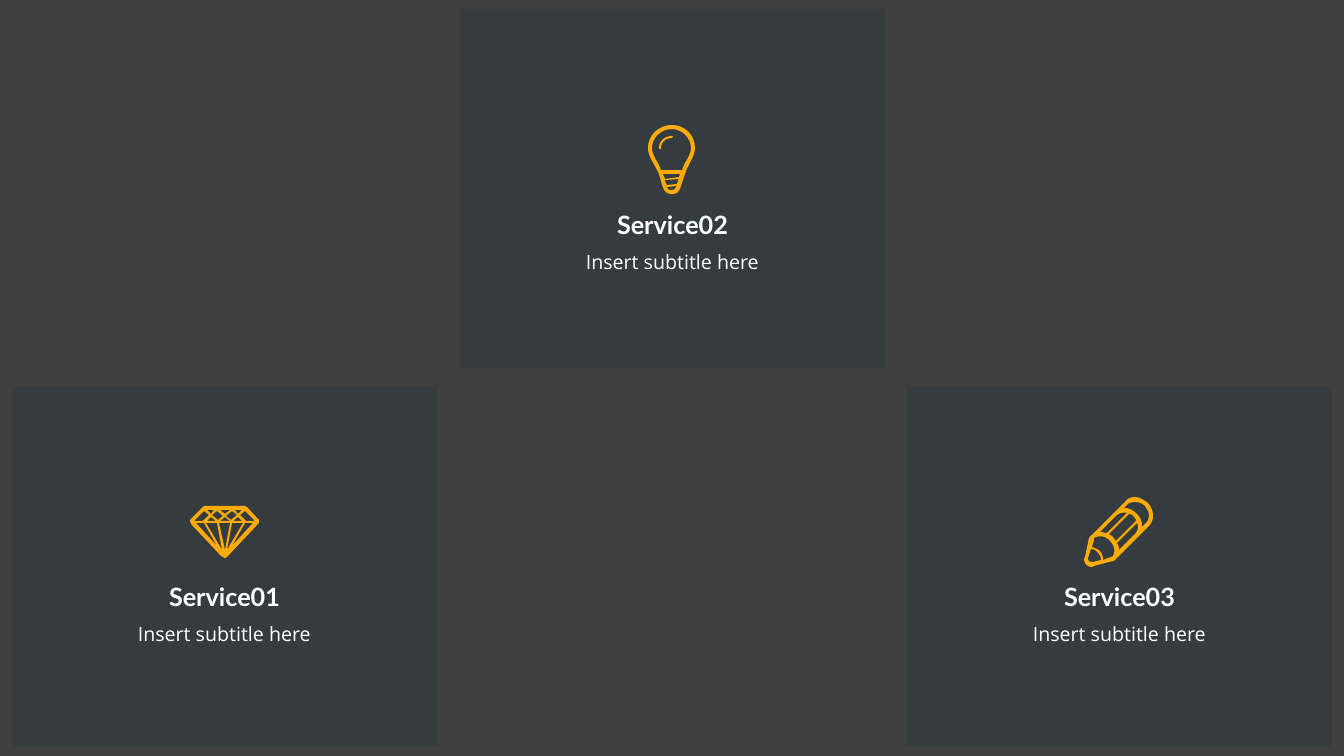
from lxml import etree
from pptx import Presentation
from pptx import util as u
from pptx.dml.color import RGBColor
from pptx.enum import shapes, text
from pptx.oxml.ns import qn

EMU_PER_PX = 914400 / 100.8
COLORS = {"background": "3F3F3F", "panel": "313C41", "icon": "FFAB03", "text": "FFFFFF"}

PANEL_W, PANEL_H = 425, 359
TITLE_W, TITLE_H = 133, 40
SUBTITLE_W, SUBTITLE_H = 275, 42
SUBTITLE_DROP = 29

# Icon contours: a pair is a corner, six numbers are a Bezier curve.
# The first contour is the silhouette, the others are cut out of it.
DIAMOND_W = 69
DIAMOND_RIGHT_FACETS = [
    [(36, 10), (42, 5), (47, 9), (41, 14)],
    [(42, 17), (53, 17), (37, 44)],
    [(43, 15), (48, 11), (52, 15)],
    [(45, 4), (52, 4), (48, 8)],
    [(55, 17), (63, 17), (42, 40)],
    [(56, 15), (50, 9), (55, 5), (65, 15)],
]
DIAMOND = [
    [(68, 13), (57, 1), (56, 1, 55, 0, 54, 0), (15, 0), (14, 0, 13, 1, 13, 1),
     (1, 13), (1, 13, 0, 14, 0, 15), (0, 16, 1, 17, 1, 18), (31, 50),
     (33, 51, 34, 52, 35, 52), (36, 52, 37, 51, 38, 50), (68, 18),
     (69, 17, 69, 16, 69, 15), (69, 14, 69, 13, 68, 13)],
    [(40, 15), (30, 15), (35, 11)],
    [(40, 17), (35, 44), (29, 17)],
    [(35, 8), (30, 4), (40, 4)],
    *DIAMOND_RIGHT_FACETS,
    *[[(DIAMOND_W - x, y) for x, y in facet] for facet in DIAMOND_RIGHT_FACETS],
]
BULB = [
    [(24, 0), (11, 0, 0, 10, 0, 23), (0, 32, 8, 41, 11, 49), (15, 62, 15, 69, 24, 69),
     (33, 69, 32, 62, 37, 49), (39, 41, 47, 32, 47, 23), (47, 10, 37, 0, 24, 0)],
    [(29, 59), (19, 60), (18, 59, 18, 58, 17, 56), (17, 55), (31, 54), (30, 56)],
    [(17, 54), (15, 49), (32, 49), (31, 52)],
    [(24, 65), (22, 65, 20, 65, 19, 62), (29, 61), (27, 64, 26, 65, 24, 65)],
    [(34, 45), (13, 45), (12, 43, 11, 40, 10, 38), (7, 33, 4, 28, 4, 23),
     (4, 13, 13, 4, 24, 4), (34, 4, 43, 13, 43, 23), (43, 28, 40, 33, 37, 38),
     (36, 40, 35, 43, 34, 45)],
]
GLINT = [
    [(13, 0), (6, 0, 0, 5, 0, 12), (0, 13, 0, 13, 1, 13), (1, 13, 2, 13, 2, 12),
     (2, 6, 7, 2, 13, 2), (13, 2, 14, 1, 14, 1), (14, 0, 13, 0, 13, 0)],
]
PENCIL = [
    [(64, 6), (60, 3, 55, 0, 51, 0), (47, 0, 43, 2, 41, 5), (8, 38),
     (6, 39, 6, 40, 5, 41), (1, 60), (0, 62), (0, 66, 3, 70, 8, 70), (10, 69),
     (29, 64), (30, 64, 31, 63, 32, 62), (65, 29), (71, 23, 70, 13, 64, 6)],
    [(35, 52), (35, 50, 34, 48, 33, 46), (53, 26), (55, 30, 54, 34, 51, 37), (35, 53)],
    [(32, 44), (31, 43, 30, 41, 29, 40), (28, 39, 26, 38, 25, 37), (45, 17),
     (47, 17, 49, 18, 50, 20), (51, 21, 52, 22, 52, 24)],
    [(23, 36), (21, 36, 18, 35, 16, 35), (33, 18), (36, 16, 39, 15, 43, 16)],
    [(9, 65), (6, 65, 4, 64, 4, 62), (4, 61), (7, 52), (9, 52, 12, 53, 14, 56),
     (16, 58, 17, 60, 17, 63)],
    [(19, 63), (19, 59, 18, 57, 16, 54), (14, 52, 10, 51, 8, 50), (10, 43), (10, 41),
     (15, 38, 22, 39, 26, 44), (31, 49, 32, 56, 28, 60), (27, 60)],
    [(62, 26), (58, 30), (58, 29, 58, 29, 58, 28), (58, 24, 56, 20, 53, 17),
     (49, 13, 45, 11, 40, 11), (44, 7), (45, 6, 48, 5, 51, 5), (54, 5, 58, 6, 61, 9),
     (63, 12, 65, 15, 65, 18), (65, 21, 64, 24, 62, 26)],
]

# Panel left and top, title top, name, icon parts with their left and top
SERVICES = [
    (12, 387, 576, "Service01", [(DIAMOND, 190, 506)]),
    (460, 9, 204, "Service02", [(BULB, 648, 125), (GLINT, 659, 136)]),
    (907, 387, 576, "Service03", [(PENCIL, 1084, 497)]),
]


def px(n):
    return u.Emu(round(n * EMU_PER_PX))


def rgb(name):
    return RGBColor.from_string(COLORS[name])


def paint(sp, color):
    sp.shadow.inherit = False
    sp.fill.solid()
    sp.fill.fore_color.rgb = rgb(color)
    sp.line.fill.background()


def add_panel(s, x, y):
    sp = s.shapes.add_shape(shapes.MSO_SHAPE.RECTANGLE, px(x), px(y), px(PANEL_W), px(PANEL_H))
    paint(sp, "panel")
    color = sp.fill._xPr.find(qn("a:solidFill"))[0]
    etree.SubElement(color, qn("a:alpha")).set("val", "75000")


def add_text(s, content, x, y, w, h, font, size, bold=False, wrap=True, spacing=None):
    tf = s.shapes.add_textbox(px(x), px(y), px(w), px(h)).text_frame
    tf.word_wrap = wrap
    tf.auto_size = text.MSO_AUTO_SIZE.SHAPE_TO_FIT_TEXT
    p = tf.paragraphs[0]
    p.alignment = text.PP_ALIGN.CENTER
    p.line_spacing = spacing
    r = p.add_run()
    r.text = content
    r.font.name = font
    r.font.size = u.Pt(size)
    r.font.bold = bold
    r.font.color.rgb = rgb("text")


def trace(contour, steps=8):
    """Turn corners and Bezier curves into a list of points."""
    points = [contour[0]]
    for part in contour[1:]:
        if len(part) == 2:
            points.append(part)
            continue
        nodes = [points[-1], part[:2], part[2:4], part[4:]]
        for i in range(1, steps + 1):
            t = i / steps
            weights = [(1 - t) ** 3, 3 * t * (1 - t) ** 2, 3 * t * t * (1 - t), t ** 3]
            points.append(tuple(sum(k * n[axis] for k, n in zip(weights, nodes))
                                for axis in (0, 1)))
    return points


def add_icon(s, contours, x, y):
    outlines = [[(px(x + a), px(y + b)) for a, b in trace(c)] for c in contours]
    builder = s.shapes.build_freeform(*outlines[0][0])
    builder.add_line_segments(outlines[0][1:])
    for hole in outlines[1:]:
        builder.move_to(*hole[0])
        builder.add_line_segments(hole[1:])
    paint(builder.convert_to_shape(), "icon")


def main():
    prs = Presentation()
    prs.slide_width, prs.slide_height = px(1344), px(756)
    s = prs.slides.add_slide(prs.slide_layouts[6])
    s.background.fill.solid()
    s.background.fill.fore_color.rgb = rgb("background")

    # Panels with captions
    for x, y, title_y, name, icon_parts in SERVICES:
        add_panel(s, x, y)
        add_text(s, name, x + (PANEL_W - TITLE_W) / 2, title_y, TITLE_W, TITLE_H,
                 font="Lato", size=18, bold=True, wrap=False)
        add_text(s, "Insert subtitle here", x + (PANEL_W - SUBTITLE_W) / 2,
                 title_y + SUBTITLE_DROP, SUBTITLE_W, SUBTITLE_H,
                 font="Open Sans", size=14, spacing=1.5)
        for contours, left, top in icon_parts:
            add_icon(s, contours, left, top)

    prs.save("out.pptx")


main()
